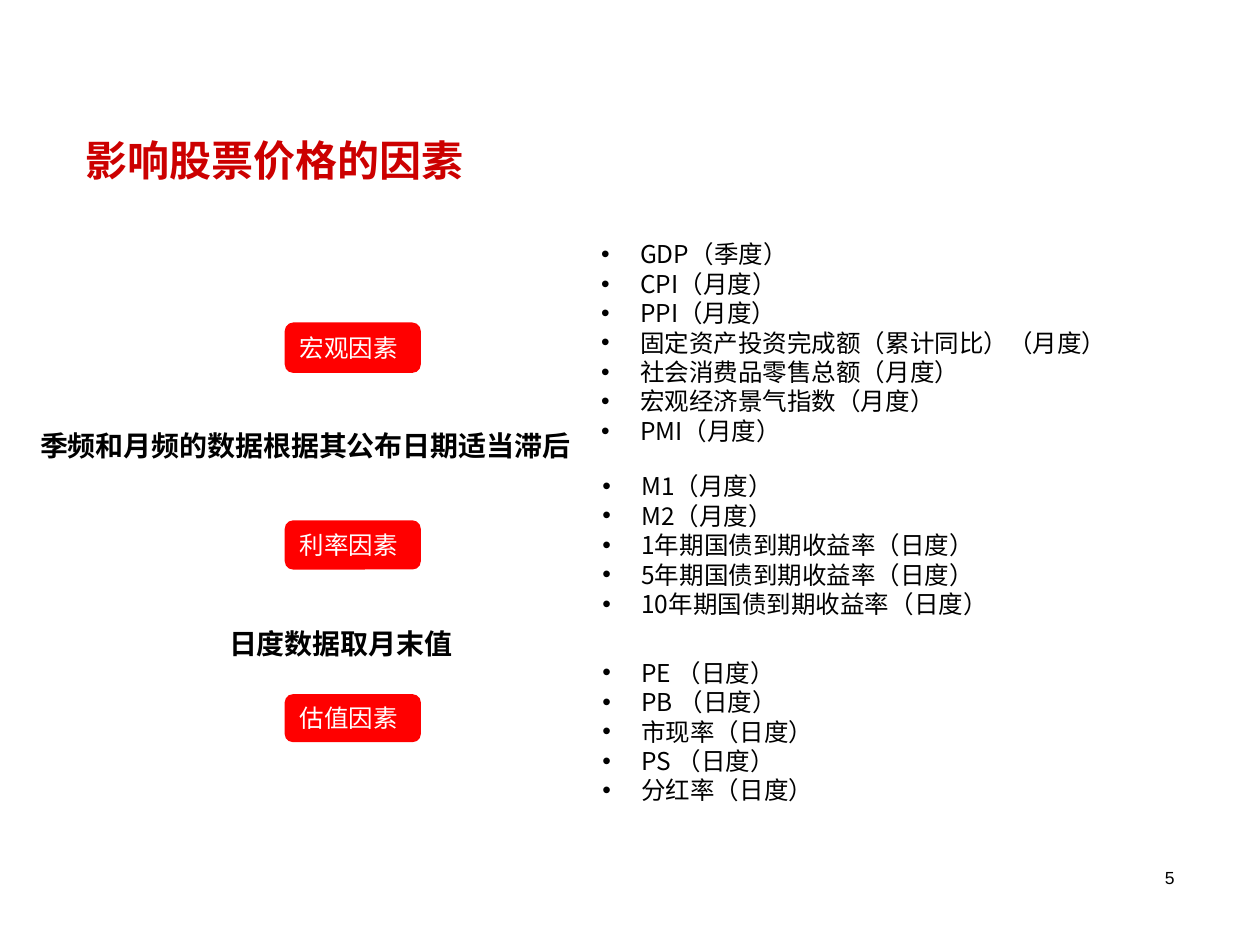
from lxml.etree import SubElement
from pptx import Presentation
from pptx.dml.color import RGBColor
from pptx.enum.shapes import MSO_SHAPE
from pptx.enum.text import MSO_ANCHOR, PP_ALIGN
from pptx.oxml.ns import qn
from pptx.util import Pt

EMU_PER_PX = 9144
CJK_FONT = "Noto Sans CJK SC"


def px(length):
    return length * EMU_PER_PX


def color(hex_string):
    return RGBColor.from_string(hex_string)


def apply(target, values):
    for name, value in values.items():
        setattr(target, name, value)


class SlideBuilder:
    """Holds the text style and the current page, and adds elements to it."""

    frame_format = {
        "word_wrap": True,
        "margin_left": px(10), "margin_right": px(10),
        "margin_top": px(5), "margin_bottom": px(5),
    }

    def __init__(self, page):
        self.page = page

    def place(self, shape, left, top, width, height):
        apply(shape, {"left": px(left), "top": px(top),
                      "width": px(width), "height": px(height)})

    def fill_text(self, box, lines, size, ink="000000", bold=False, font=CJK_FONT,
                  align=PP_ALIGN.LEFT, anchor=MSO_ANCHOR.TOP, spacing=1.2, bullets=False):
        frame = box.text_frame
        apply(frame, {**self.frame_format, "vertical_anchor": anchor})
        for index, line in enumerate(lines):
            para = frame.add_paragraph() if index else frame.paragraphs[0]
            if bullets:
                self.bullet(para)
            apply(para, {"alignment": align, "line_spacing": Pt(size * spacing),
                         "space_before": Pt(0), "space_after": Pt(0)})
            span = para.add_run()
            span.text = line
            apply(span.font, {"name": font, "size": Pt(size), "bold": bold})
            span.font.color.rgb = color(ink)
            SubElement(span._r.get_or_add_rPr(), qn("a:ea"), typeface=font)

    def bullet(self, para):
        properties = para._p.get_or_add_pPr()
        for name, value in {"marL": px(31), "indent": -px(31)}.items():
            properties.set(name, str(value))
        ink = SubElement(properties, qn("a:buClr"))
        SubElement(ink, qn("a:srgbClr"), val="000000")
        SubElement(properties, qn("a:buFont"), typeface="Arial")
        SubElement(properties, qn("a:buChar"), char="•")

    def title(self, text, *place):
        box = self.page.shapes.title
        self.place(box, *place)
        self.fill_text(box, [text], 24, ink="CC0000", bold=True)

    def factor_list(self, placeholder, lines, *place):
        box = self.page.placeholders[placeholder]
        self.place(box, *place)
        self.fill_text(box, lines, 14, bullets=True)

    def text(self, text, place, **style):
        box = self.page.shapes.add_textbox(*map(px, place))
        self.fill_text(box, [text], **style)

    def badge(self, text, *place):
        box = self.page.shapes.add_shape(MSO_SHAPE.ROUNDED_RECTANGLE, *map(px, place))
        box.shadow.inherit = False
        box.fill.solid()
        box.fill.fore_color.rgb = color("FF0000")
        box.line.fill.background()
        self.fill_text(box, [text], 14, ink="FFFFFF", anchor=MSO_ANCHOR.MIDDLE)

    def remove_empty_placeholders(self):
        for box in list(self.page.placeholders):
            if not box.text_frame.text:
                box.element.getparent().remove(box.element)


def main():
    deck = Presentation()
    apply(deck, {"slide_width": px(1000), "slide_height": px(750)})
    comparison_layout = deck.slide_layouts[4]
    builder = SlideBuilder(deck.slides.add_slide(comparison_layout))

    builder.title("影响股票价格的因素", 58, 102, 642, 50)

    for name, top, height in (("宏观因素", 256, 40), ("利率因素", 413, 39), ("估值因素", 551, 38)):
        builder.badge(name, 226, top, 108, height)

    macro = ["GDP（季度）", "CPI（月度）", "PPI（月度）",
             "固定资产投资完成额（累计同比）（月度）", "社会消费品零售总额（月度）",
             "宏观经济景气指数（月度）", "PMI（月度）"]
    rates = ["M1（月度）", "M2（月度）"]
    rates += [f"{years}年期国债到期收益率（日度）" for years in (1, 5, 10)]
    valuation = ["PE （日度）", "PB （日度）", "市现率（日度）", "PS （日度）", "分红率（日度）"]
    builder.factor_list(2, macro, 467, 185, 425, 174)
    builder.factor_list(3, rates, 468, 369, 342, 127)
    builder.factor_list(4, valuation, 468, 517, 300, 127)

    note_style = {"size": 16, "bold": True, "spacing": 1.8}
    builder.text("季频和月频的数据根据其公布日期适当滞后", (22, 322, 446, 50), **note_style)
    builder.text("日度数据取月末值", (172, 479, 446, 50), **note_style)
    builder.text("5", (792, 683, 150, 27), size=10, font="Arial", align=PP_ALIGN.RIGHT)

    builder.remove_empty_placeholders()
    deck.save("out.pptx")


if __name__ == "__main__":
    main()
